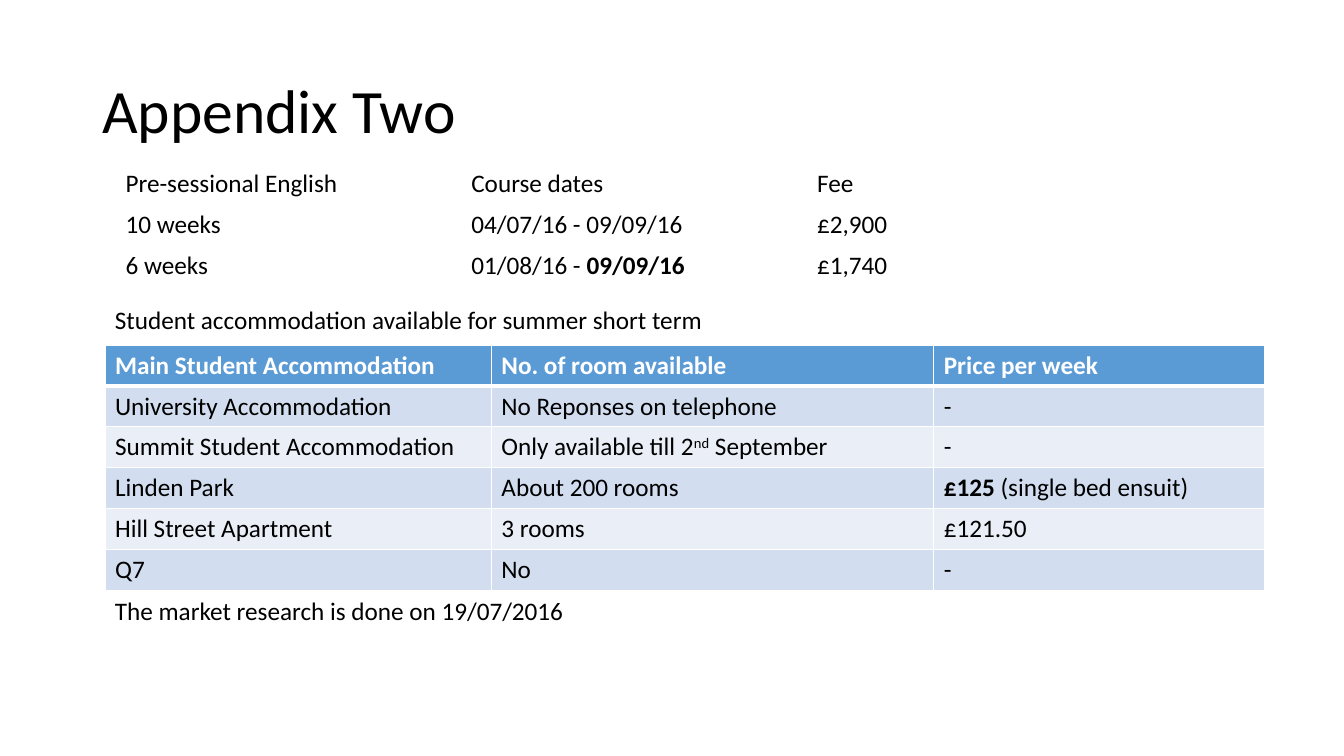
"""Builds the appendix slide with course fees and accommodation prices."""
from dataclasses import dataclass
from lxml import etree
from pptx import Presentation
from pptx import util as u
from pptx.dml.color import RGBColor
from pptx.enum import text
from pptx.oxml import ns


@dataclass(frozen=True)
class Theme:
    font: str = "Calibri"
    title_size: int = 44
    body_size: int = 18
    ink: str = "000000"
    paper: str = "FFFFFF"
    header: str = "5B9BD5"
    bands: tuple = ("D2DEEF", "EAEFF7")
    rule: int = 1
    header_rule: int = 3


class AppendixPage:
    def __init__(self, deck, theme):
        self.theme = theme
        self.page = deck.slides.add_slide(deck.slide_layouts[6])

    def add_words(self, frame, content, size, color, bold=False):
        para = frame.paragraphs[0]
        spans = [(content, {})] if isinstance(content, str) else content
        for words, changes in spans:
            span = para.add_run()
            span.text = words
            values = {"name": self.theme.font, "size": u.Pt(size), "bold": bold}
            values.update(changes)
            raised = values.pop("raised", False)
            for name, value in values.items():
                setattr(span.font, name, value)
            span.font.color.rgb = RGBColor.from_string(color)
            if raised:
                span._r.get_or_add_rPr().set("baseline", "30000")
        return para

    def box(self, content, left, top, width, height, size, **frame_format):
        frame = self.page.shapes.add_textbox(
            u.Pt(left), u.Pt(top), u.Pt(width), u.Pt(height)).text_frame
        for name, value in {"word_wrap": True, **frame_format}.items():
            setattr(frame, name, value)
        return self.add_words(frame, content, size, self.theme.ink)

    def border(self, cell, side, width):
        line = etree.SubElement(cell._tc.get_or_add_tcPr(), ns.qn(f"a:ln{side}"))
        if not width:
            etree.SubElement(line, ns.qn("a:noFill"))
            return
        line.set("w", str(u.Pt(width)))
        fill = etree.SubElement(line, ns.qn("a:solidFill"))
        etree.SubElement(fill, ns.qn("a:srgbClr")).set("val", self.theme.paper)

    def table(self, rows, left, top, widths, row_height, banded):
        theme = self.theme
        grid = self.page.shapes.add_table(
            len(rows), len(widths), u.Pt(left), u.Pt(top),
            u.Pt(sum(widths)), u.Pt(row_height * len(rows))).table
        for name, value in {"first_row": banded, "horz_banding": banded}.items():
            setattr(grid, name, value)
        for column, width in zip(grid.columns, widths):
            column.width = u.Pt(width)
        for row_index, row in enumerate(rows):
            grid.rows[row_index].height = u.Pt(row_height)
            heading = banded and row_index == 0
            for column_index, content in enumerate(row):
                cell = grid.cell(row_index, column_index)
                for side in "LRTB":
                    under_header = (side == "B" and row_index == 0
                                    or side == "T" and row_index == 1)
                    width = theme.header_rule if under_header else theme.rule
                    self.border(cell, side, width if banded else 0)
                if banded:
                    cell.fill.solid()
                    shade = theme.header if heading else theme.bands[(row_index - 1) % 2]
                    cell.fill.fore_color.rgb = RGBColor.from_string(shade)
                else:
                    cell.fill.background()
                    cell.vertical_anchor = text.MSO_ANCHOR.MIDDLE
                self.add_words(cell.text_frame, content, theme.body_size,
                               theme.paper if heading else theme.ink, heading)


COURSES = [
    ["Pre-sessional English", "Course dates", "Fee"],
    ["10 weeks", "04/07/16 - 09/09/16", "£2,900"],
    ["6 weeks", [("01/08/16 - ", {}), ("09/09/16", {"bold": True})], "£1,740"],
]
ACCOMMODATION = [
    ["Main Student Accommodation", "No. of room available", "Price per week"],
    ["University Accommodation", "No Reponses on telephone", "-"],
    ["Summit Student Accommodation",
     [("Only available till 2", {}), ("nd", {"raised": True}), (" September", {})], "-"],
    ["Linden Park", "About 200 rooms",
     [("£125 ", {"bold": True}), ("(single bed ensuit)", {})]],
    ["Hill Street Apartment", "3 rooms", "£121.50"],
    ["Q7", "No", "-"],
]


def main():
    deck = Presentation()
    deck.slide_width, deck.slide_height = u.Pt(960), u.Pt(540)
    theme = Theme()
    page = AppendixPage(deck, theme)
    title = page.box("Appendix Two", 66, 28.75, 828, 104.4, theme.title_size,
                     vertical_anchor=text.MSO_ANCHOR.MIDDLE)
    title.line_spacing = 0.9
    page.table(ACCOMMODATION, 75, 246.5, [276, 316, 236], 29.2, banded=True)
    page.table(COURSES, 82.5, 116.75, [247] * 3, 29.2, banded=False)
    fit = {"auto_size": text.MSO_AUTO_SIZE.SHAPE_TO_FIT_TEXT}
    page.box("Student accommodation available for summer short term",
             75, 214, 457, 29, theme.body_size, **fit)
    page.box("The market research is done on 19/07/2016",
             75, 422, 344, 29, theme.body_size, **fit)
    deck.save("out.pptx")


if __name__ == "__main__":
    main()
